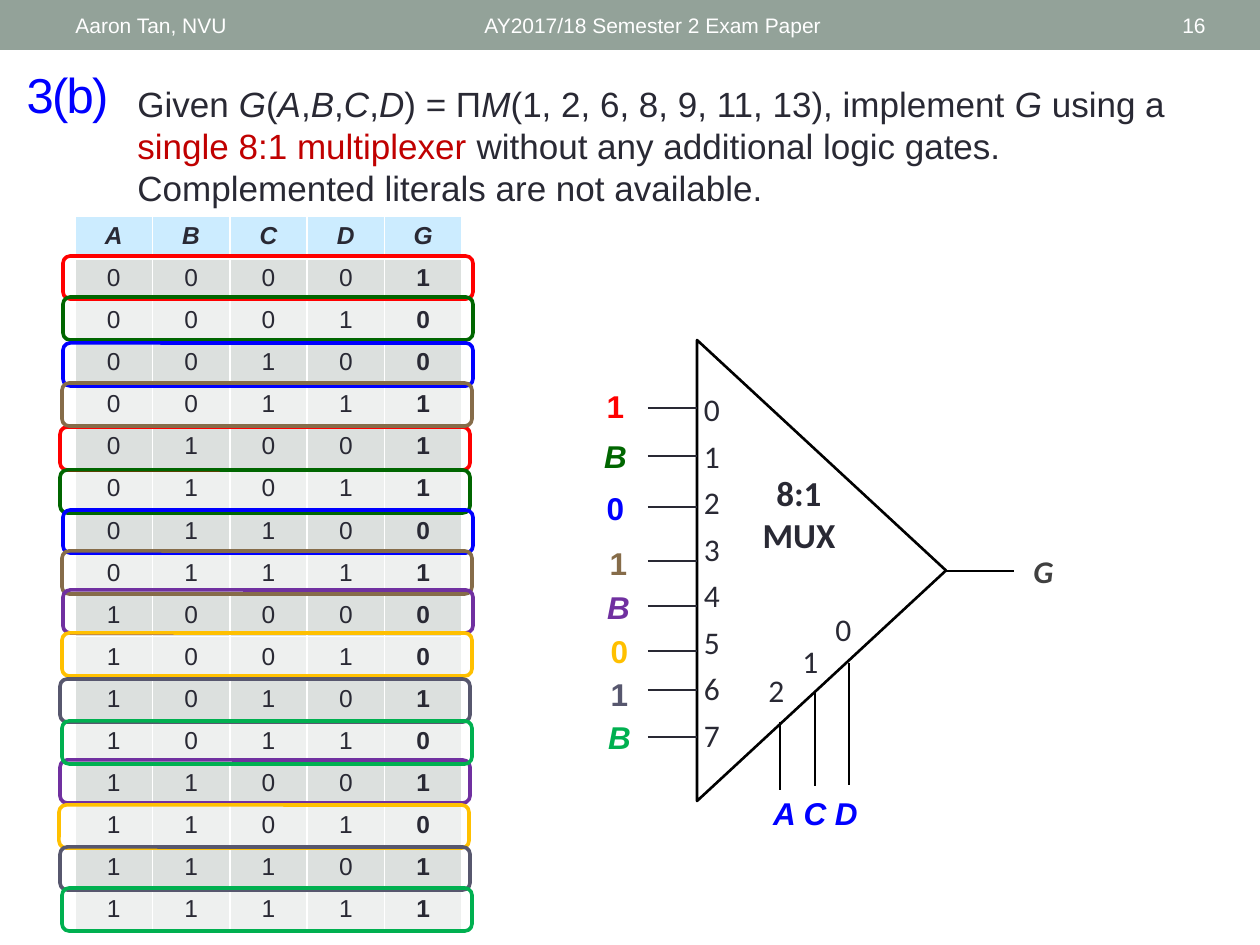
from lxml import etree
from pptx import Presentation
from pptx.dml.color import RGBColor
from pptx.enum.shapes import MSO_CONNECTOR, MSO_SHAPE
from pptx.enum.text import MSO_ANCHOR, PP_ALIGN
from pptx.oxml.ns import qn
from pptx.util import Pt

STRAIGHT = MSO_CONNECTOR.STRAIGHT
RECTANGLE, ROUNDED, TRIANGLE = MSO_SHAPE.RECTANGLE, MSO_SHAPE.ROUNDED_RECTANGLE, MSO_SHAPE.ISOSCELES_TRIANGLE
TOP, MIDDLE = MSO_ANCHOR.TOP, MSO_ANCHOR.MIDDLE
LEFT, CENTER, RIGHT = PP_ALIGN.LEFT, PP_ALIGN.CENTER, PP_ALIGN.RIGHT

PX = 914400 // 126
WHITE, BLACK = RGBColor(255, 255, 255), RGBColor(0, 0, 0)
INK = RGBColor(0x29, 0x29, 0x34)
GRAPHITE = RGBColor(0x40, 0x40, 0x40)
SAGE = RGBColor(0x93, 0xA2, 0x99)
SKY = RGBColor(0xCC, 0xEC, 0xFF)
DARK_BAND, LIGHT_BAND = RGBColor(0xDC, 0xE0, 0xDE), RGBColor(0xEE, 0xF0, 0xEF)
CRIMSON = RGBColor(0xC0, 0, 0)
RED, GREEN, BLUE = RGBColor(255, 0, 0), RGBColor(0, 0x66, 0), RGBColor(0, 0, 255)
BROWN, PURPLE = RGBColor(0x86, 0x6C, 0x49), RGBColor(0x70, 0x30, 0xA0)
GOLD, SLATE, EMERALD = RGBColor(255, 0xC0, 0), RGBColor(0x57, 0x57, 0x6E), RGBColor(0, 0xB0, 0x50)

MAXTERMS = {1, 2, 6, 8, 9, 11, 13}
VARIABLES = "ABCDG"
INPUTS = [
    (RED, "1", (577, 381), [(63, 256), (60, 427)]),
    (GREEN, "B", (577, 431), [(63, 297), (60, 470)]),
    (BLUE, "0", (577, 483), [(63, 343), (63, 510)]),
    (BROWN, "1", (580, 538), [(62, 383), (62, 551)]),
    (PURPLE, "B", (580, 582), [(63, 590), (60, 760)]),
    (GOLD, "0", (581, 626), [(62, 633), (59, 805)]),
    (SLATE, "1", (581, 669), [(60, 679), (60, 847)]),
    (EMERALD, "B", (581, 712), [(62, 721), (62, 888)]),
]


def px(*lengths):
    """Turn pixel lengths into EMU."""
    return [round(length * PX) for length in lengths]


def write(paragraph, text, size=18, color=INK, font="Arial", bold=False, italic=False):
    """Append one formatted run to a paragraph and return it."""
    run = paragraph.add_run()
    run.text = text
    run.font.size, run.font.name = Pt(size), font
    run.font.bold, run.font.italic = bold, italic
    run.font.color.rgb = color
    return run


def add_text(shapes, box, text, align=LEFT, anchor=TOP, inset=None, before=0, after=0, **style):
    """Add a wrapping text box with one paragraph for each line of text."""
    frame = shapes.add_textbox(*px(*box)).text_frame
    frame.word_wrap, frame.vertical_anchor = True, anchor
    if inset is not None:
        frame.margin_left = frame.margin_top = frame.margin_right = frame.margin_bottom = px(inset)[0]
    for number, line in enumerate(text.split("\n")):
        paragraph = frame.add_paragraph() if number else frame.paragraphs[0]
        paragraph.alignment = align
        paragraph.space_before, paragraph.space_after = Pt(before), Pt(after)
        if line:
            write(paragraph, line, **style)
    return frame


def add_block(shapes, kind, box, fill=None, line=None, weight=1.5):
    """Add a preset shape with the given fill and outline."""
    block = shapes.add_shape(kind, *px(*box))
    block.shadow.inherit = False
    if fill is None:
        block.fill.background()
    else:
        block.fill.solid()
        block.fill.fore_color.rgb = fill
    if line is None:
        block.line.fill.background()
    else:
        block.line.color.rgb, block.line.width = line, Pt(weight)
    return block


def add_wire(shapes, x1, y1, x2, y2, color=BLACK):
    """Add a straight wire between two points."""
    wire = shapes.add_connector(STRAIGHT, *px(x1, y1, x2, y2))
    wire.line.color.rgb, wire.line.width = color, Pt(1.5)
    etree.SubElement(wire._element.spPr, qn("a:effectLst"))


def add_header(shapes, box):
    """Draw the top bar with author, paper and slide number."""
    left, top, width, height = box
    add_block(shapes, RECTANGLE, box, fill=SAGE)
    for x, w, text, align in [(472, 567, "AY2017/18 Semester 2 Exam Paper", LEFT),
                              (63, 400, "Aaron Tan, NVU", LEFT),
                              (1099, 119, "16", RIGHT)]:
        add_text(shapes, (left + x, top + 3, w, height - 5), text, align=align,
                 anchor=MIDDLE, size=12, color=WHITE)


def add_question(slide, title_box, body_box):
    """Place the question number and its wording."""
    title = slide.shapes.title
    title.left, title.top, title.width, title.height = px(*title_box)
    title.text_frame.vertical_anchor = MIDDLE
    number = title.text_frame.paragraphs[0]
    number.alignment = LEFT
    write(number, "3(b)", size=28, color=BLUE).font._element.set("spc", "-100")

    wording = add_text(slide.shapes, body_box, "").paragraphs[0]
    wording.line_spacing = Pt(24)
    opening = "Given |G|(|A|,|B|,|C|,|D|) = Π|M|(1, 2, 6, 8, 9, 11, 13), implement |G| using a "
    for index, part in enumerate(opening.split("|")):
        write(wording, part, size=20, italic=index % 2 == 1)
    write(wording, "single 8:1 multiplexer ", size=20, color=CRIMSON)
    write(wording, "without any additional logic gates. Complemented literals are not available.", size=20)


def add_borders(cell, bottom):
    """Give a cell white borders, with its own bottom weight."""
    properties = cell._tc.get_or_add_tcPr()
    for side, weight in [("L", 1), ("R", 1), ("T", 1), ("B", bottom)]:
        border = etree.SubElement(properties, qn("a:ln" + side), w=str(Pt(weight)))
        fill = etree.SubElement(border, qn("a:solidFill"))
        etree.SubElement(fill, qn("a:srgbClr"), val=str(WHITE))


def add_truth_table(shapes, box):
    """Fill the truth table of G from its maxterms."""
    values = [list(f"{term:04b}") + [str(int(term not in MAXTERMS))] for term in range(16)]
    rows = [list(VARIABLES)] + values
    table = shapes.add_table(len(rows), len(VARIABLES), *px(*box)).table
    for r, row in enumerate(rows):
        table.rows[r].height = px(box[3] / len(rows))[0]
        band = SKY if r == 0 else DARK_BAND if r % 2 else LIGHT_BAND
        for c, value in enumerate(row):
            cell = table.cell(r, c)
            add_borders(cell, 1 if r else 3)
            cell.fill.solid()
            cell.fill.fore_color.rgb = band
            paragraph = cell.text_frame.paragraphs[0]
            paragraph.alignment = CENTER
            write(paragraph, value, size=14, bold=r == 0 or c == 4, italic=r == 0)


def add_multiplexer(shapes, box):
    """Draw the multiplexer triangle, its pins and wires."""
    left, top, width, height = box
    calibri = dict(font="Calibri", inset=1)
    add_text(shapes, (left + 306, top + 211, 81, 76), "G", align=CENTER, before=10,
             color=GRAPHITE, bold=True, italic=True, **calibri)
    triangle = add_block(shapes, TRIANGLE,
                         (left + (width - height) / 2, top + (height - width) / 2, height, width),
                         fill=WHITE, line=BLACK)
    triangle.rotation = 90
    add_wire(shapes, left + width, top + 231, left + 317, top + 231)
    for x, start, end in [(118, 446, 352), (83, 450, 382), (152, 445, 323)]:
        add_wire(shapes, left + x, top + start, left + x, top + end)
    for select, x, y in [("0", 102, 269), ("1", 69, 301), ("2", 35, 330)]:
        add_text(shapes, (left + x, top + y, 89, 71), select, align=CENTER, after=6, **calibri)
    add_text(shapes, (left + 6, top + 49, 74, 363), "\n".join("01234567"), after=5, **calibri)
    add_text(shapes, (left + 35, top + 131, 134, 116), "8:1\nMUX", align=CENTER,
             size=20, bold=True, **calibri)
    for y in (68, 116, 167, 221, 266, 311, 350, 397):
        add_wire(shapes, left - 49, top + y, left, top + y, INK)


def add_inputs(shapes, outline_size, label_size):
    """Outline the paired table rows and label each multiplexer input."""
    for color, value, label_at, outlines in INPUTS:
        for outline_at in outlines:
            add_block(shapes, ROUNDED, (*outline_at, *outline_size), line=color, weight=2.08)
        add_text(shapes, (*label_at, *label_size), value, align=CENTER, color=color,
                 bold=True, italic=value == "B")


deck = Presentation()
deck.slide_width, deck.slide_height = px(1260, 945)
slide = deck.slides.add_slide(deck.slide_layouts[5])
add_header(slide.shapes, (0, 0, 1260, 50))
add_question(slide, (14, 47, 120, 94), (125, 76, 1056, 140))
add_truth_table(slide.shapes, (75, 216, 387, 714))
add_multiplexer(slide.shapes.add_group_shape().shapes, (697, 340, 249, 461))
add_text(slide.shapes, (736, 788, 159, 50), "A C D", align=CENTER, color=BLUE, bold=True, italic=True)
add_inputs(slide.shapes, (410, 43), (77, 50))
deck.save("out.pptx")
